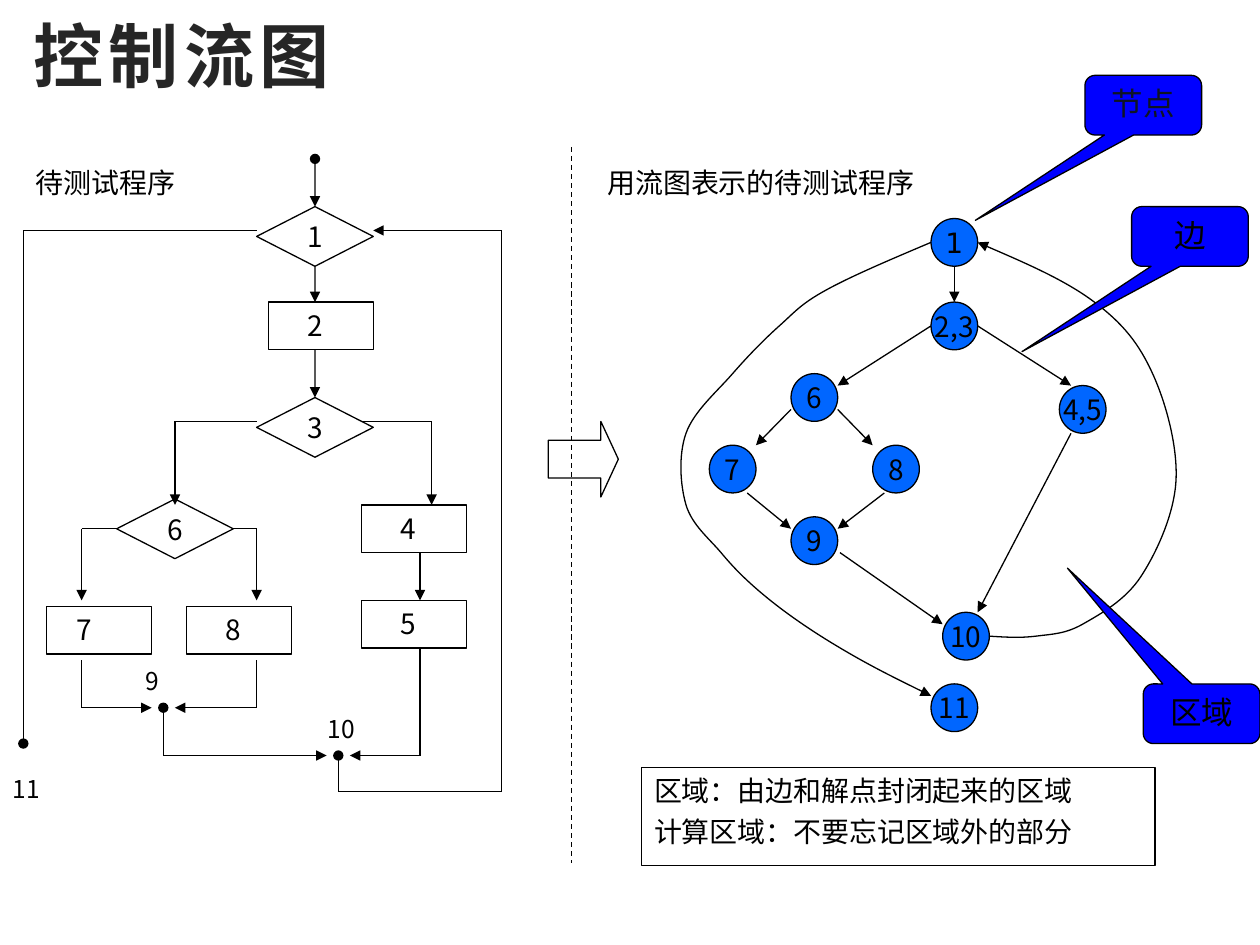
from dataclasses import dataclass
from typing import Optional

import pptx
import pptx.dml.color
import pptx.enum.dml
import pptx.enum.shapes
import pptx.enum.text
import pptx.oxml
import pptx.oxml.ns
import pptx.util

SHAPE = pptx.enum.shapes.MSO_SHAPE
ALIGN = pptx.enum.text.PP_ALIGN
ANCHOR = pptx.enum.text.MSO_ANCHOR
COLORS = {"ink": "000000", "title": "262626", "node": "0066FF", "callout": "0000FF", "navy": "0F1423"}
CJK, SANS = "Noto Sans CJK SC", "DejaVu Sans"
COLUMN = 10 / 108
ROW = 0.0947
TOP = 0.03
GRAPH_SHIFT = -0.2


@dataclass
class Style:
    size: float = 16
    font: str = CJK
    color: str = "ink"
    bold: bool = False
    spacing: int = 0
    centered: bool = False
    middle: bool = False
    wrap: bool = True
    indent: float = 0


@dataclass
class Block:
    column: float
    row: float
    columns: float
    rows: float
    text: str = ""
    style: Optional[Style] = None
    kind: Optional[SHAPE] = None
    fill: Optional[str] = None
    adjustments: tuple[float, ...] = ()


@dataclass
class Line:
    start: tuple[float, float]
    end: tuple[float, float]
    head: str = ""
    tail: str = ""
    dashed: bool = False


def place(column: float, row: float) -> tuple[int, int]:
    return pptx.util.Inches(column * COLUMN), pptx.util.Inches(TOP + row * ROW)


def rgb(name: str) -> pptx.dml.color.RGBColor:
    return pptx.dml.color.RGBColor.from_string(COLORS[name])


def add_xml(parent, tag: str, **attributes: str):
    element = pptx.oxml.ns.qn(f"a:{tag}")
    child = parent.makeelement(element, attributes)
    parent.append(child)
    return child


def outline(shape, head: str = "", tail: str = "", dashed: bool = False) -> None:
    shape.line.color.rgb = rgb("ink")
    shape.line.width = pptx.util.Pt(0.75)
    if dashed:
        shape.line.dash_style = pptx.enum.dml.MSO_LINE.DASH
    for tag, arrow in (("headEnd", head), ("tailEnd", tail)):
        if arrow:
            add_xml(shape.line._get_or_add_ln(), tag, type=arrow)


def write(shape, text: str, style: Style) -> None:
    frame = shape.text_frame
    frame.text = text
    frame.word_wrap = style.wrap
    frame.vertical_anchor = ANCHOR.MIDDLE if style.middle else ANCHOR.TOP
    frame.margin_left = pptx.util.Inches(0.1 + style.indent)
    for index, paragraph in enumerate(frame.paragraphs):
        paragraph.alignment = ALIGN.CENTER if style.centered else ALIGN.LEFT
        if index:
            paragraph.space_before = pptx.util.Pt(4)
        for run in paragraph.runs:
            run.font.size = pptx.util.Pt(style.size)
            run.font.name = style.font
            run.font.bold = style.bold
            run.font.color.rgb = rgb(style.color)
            add_xml(run.font._element, "ea", typeface=CJK)
            if style.spacing:
                run.font._element.set("spc", str(style.spacing))


def draw_block(slide, block: Block):
    left, top = place(block.column, block.row)
    size = pptx.util.Inches(block.columns * COLUMN), pptx.util.Inches(block.rows * ROW)
    if block.kind is None:
        shape = slide.shapes.add_textbox(left, top, *size)
    else:
        shape = slide.shapes.add_shape(block.kind, left, top, *size)
        shape.shadow.inherit = False
        outline(shape)
        if block.fill:
            shape.fill.solid()
            shape.fill.fore_color.rgb = rgb(block.fill)
        else:
            shape.fill.background()
        for index, value in enumerate(block.adjustments):
            shape.adjustments[index] = value
    if block.style:
        write(shape, block.text, block.style)
    return shape


def draw_line(slide, line: Line, sides: dict, shift: float = 0) -> None:
    ends = [place(column + shift, row) for column, row in (line.start, line.end)]
    connector = slide.shapes.add_connector(pptx.enum.shapes.MSO_CONNECTOR.STRAIGHT, *ends[0], *ends[1])
    outline(connector, line.head, line.tail, line.dashed)
    add_xml(connector._element.spPr, "effectLst")
    if line.start in sides:
        connector.begin_connect(*sides[line.start])
    if line.end in sides:
        connector.end_connect(*sides[line.end])


def draw_curve(slide, knots: list[tuple[float, float]], head: str = "", tail: str = "") -> None:
    points = [place(column + GRAPH_SHIFT, row) for column, row in knots]
    builder = slide.shapes.build_freeform(*points[0])
    builder.add_line_segments(points[1:], close=False)
    shape = builder.convert_to_shape()
    shape.shadow.inherit = False
    shape.fill.background()
    outline(shape, head, tail)
    track = shape._element.find(".//" + pptx.oxml.ns.qn("a:path"))
    for segment in track.findall(pptx.oxml.ns.qn("a:lnTo")):
        track.remove(segment)
    last = len(points) - 1
    slopes = [[(points[min(i + 1, last)][axis] - points[max(i - 1, 0)][axis]) / 6 for axis in (0, 1)]
              for i in range(last + 1)]
    for i in range(last):
        leave = [points[i][axis] + slopes[i][axis] for axis in (0, 1)]
        arrive = [points[i + 1][axis] - slopes[i + 1][axis] for axis in (0, 1)]
        if i == 0:
            leave = [(points[0][axis] + arrive[axis]) / 2 for axis in (0, 1)]
        if i == last - 1:
            arrive = [(points[last][axis] + leave[axis]) / 2 for axis in (0, 1)]
        bezier = add_xml(track, "cubicBezTo")
        for x, y in (leave, arrive, points[i + 1]):
            add_xml(bezier, "pt", x=str(round(x - shape.left)), y=str(round(y - shape.top)))


def main() -> None:
    presentation = pptx.Presentation()
    presentation.slide_width, presentation.slide_height = pptx.util.Inches(10), pptx.util.Inches(7.5)
    slide = presentation.slides.add_slide(presentation.slide_layouts[6])

    draw_block(slide, Block(1.84, 0.2, 97.2, 8.13, "控制流图", Style(40, color="title", bold=True, spacing=300, middle=True)))

    for text, column, row in (("1", 80, 18), ("7", 61, 37), ("6", 68, 31), ("2,3", 80, 25), ("8", 75, 37),
                              ("9", 68, 43), ("10", 81, 51), ("11", 80, 57), ("4,5", 91, 32)):
        style = Style(font=SANS if text == "1" else CJK, centered=True, middle=True, wrap=False)
        draw_block(slide, Block(column + GRAPH_SHIFT, row, 4, 4, text, style, SHAPE.OVAL, "node"))

    steps = [Block(column, row, 9, 4, text, Style(indent=indent), SHAPE.RECTANGLE)
             for text, column, row, indent in (("7", 4, 50.5, 0.14), ("2", 23, 25, 0.21), ("8", 16, 50.5, 0.21),
                                               ("4", 31, 42, 0.21), ("5", 31, 50, 0.21))]
    steps += [Block(column, row, 10, 5, text, Style(centered=True, middle=True, wrap=False), SHAPE.DIAMOND)
              for text, column, row in (("6", 10, 41.5), ("3", 22, 33), ("1", 22, 17))]
    sides = {}
    for step in steps:
        shape = draw_block(slide, step)
        center, middle = step.column + step.columns / 2, step.row + step.rows / 2
        middles = ((center, step.row), (step.column, middle),
                   (center, step.row + step.rows), (step.column + step.columns, middle))
        sides.update({point: (shape, site) for site, point in enumerate(middles)})

    arrow = "triangle"
    flow_lines = [
        Line((27, 22), (27, 25), tail=arrow), Line((27, 29), (27, 33), tail=arrow),
        Line((15, 35), (15, 42), tail=arrow), Line((15, 35), (22, 35)),
        Line((31, 35), (37, 35)), Line((37, 35), (37, 42), tail=arrow),
        Line((36, 46), (36, 50), tail=arrow), Line((7, 44), (7, 50), tail=arrow),
        Line((7, 44), (10, 44)), Line((20, 44), (22, 44)), Line((22, 44), (22, 50), tail=arrow),
        Line((7, 55), (7, 59)), Line((7, 59), (13, 59), tail=arrow),
        Line((22, 55), (22, 59)), Line((22, 59), (15, 59), tail=arrow),
        Line((14, 59), (14, 63), head="oval"), Line((14, 63), (28, 63), tail=arrow),
        Line((36, 54), (36, 63)), Line((36, 63), (30, 63), tail=arrow),
        Line((29, 63), (29, 66), head="oval"), Line((29, 66), (43, 66)),
        Line((43, 19), (43, 66)), Line((43, 19), (32, 19), tail=arrow),
        Line((22, 19), (2, 19)), Line((2, 19), (2, 62), tail="oval"),
        Line((27, 13), (27, 17), head="oval", tail=arrow),
        Line((49, 12), (49, 72), dashed=True),
    ]
    for line in flow_lines:
        draw_line(slide, line, sides)

    for start, end in (((82, 22), (82, 25)), ((80, 27), (72, 32)), ((84, 27), (92, 32)),
                       ((68, 34), (65, 37)), ((64.25, 41), (68, 44)), ((76, 41), (72, 44)),
                       ((72, 34), (75, 37)), ((72.2, 46), (81, 52)), ((92, 36), (84, 51))):
        draw_line(slide, Line(start, end, tail=arrow), {}, GRAPH_SHIFT)
    draw_curve(slide, [(84, 20), (94, 25), (99, 31), (101, 40), (98, 48), (93, 52), (89, 53), (85, 53)], head=arrow)
    draw_curve(slide, [(80, 20), (71, 24), (67, 27), (63, 31), (59, 36), (59, 42), (62, 46), (65, 49),
                       (69, 52), (74, 55), (80, 58)], tail=arrow)

    for text, column, row, indent in (("11", 0, 64, 0), ("9", 11, 55, 0.04), ("10", 27, 59, 0)):
        draw_block(slide, Block(column, row, 6, 3.5, text, Style(14, indent=indent)))
    draw_block(slide, Block(47, 35, 6, 6.33, kind=SHAPE.RIGHT_ARROW, adjustments=(0.5, 0.25)))
    for text, column, row, color, pointer in (("节点", 93, 6, "navy", (-1.44, 1.93)), ("边", 97, 17, "ink", (-1.44, 1.93)),
                                              ("区域", 98, 57, "ink", (-1.15, -2.44))):
        draw_block(slide, Block(column, row, 10, 5, text, Style(18, SANS, color, centered=True),
                                SHAPE.ROUNDED_RECTANGULAR_CALLOUT, "callout", (*pointer, 0.17)))
    draw_block(slide, Block(55, 64, 44, 8.2, "区域：由边和解点封闭起来的区域\n计算区域：不要忘记区域外的部分",
                            Style(font=SANS), SHAPE.RECTANGLE))
    for text, column, columns in (("待测试程序", 2, 16), ("用流图表示的待测试程序", 51, 33)):
        draw_block(slide, Block(column, 13, columns, 4, text, Style(font=SANS)))

    presentation.save("out.pptx")


if __name__ == "__main__":
    main()
